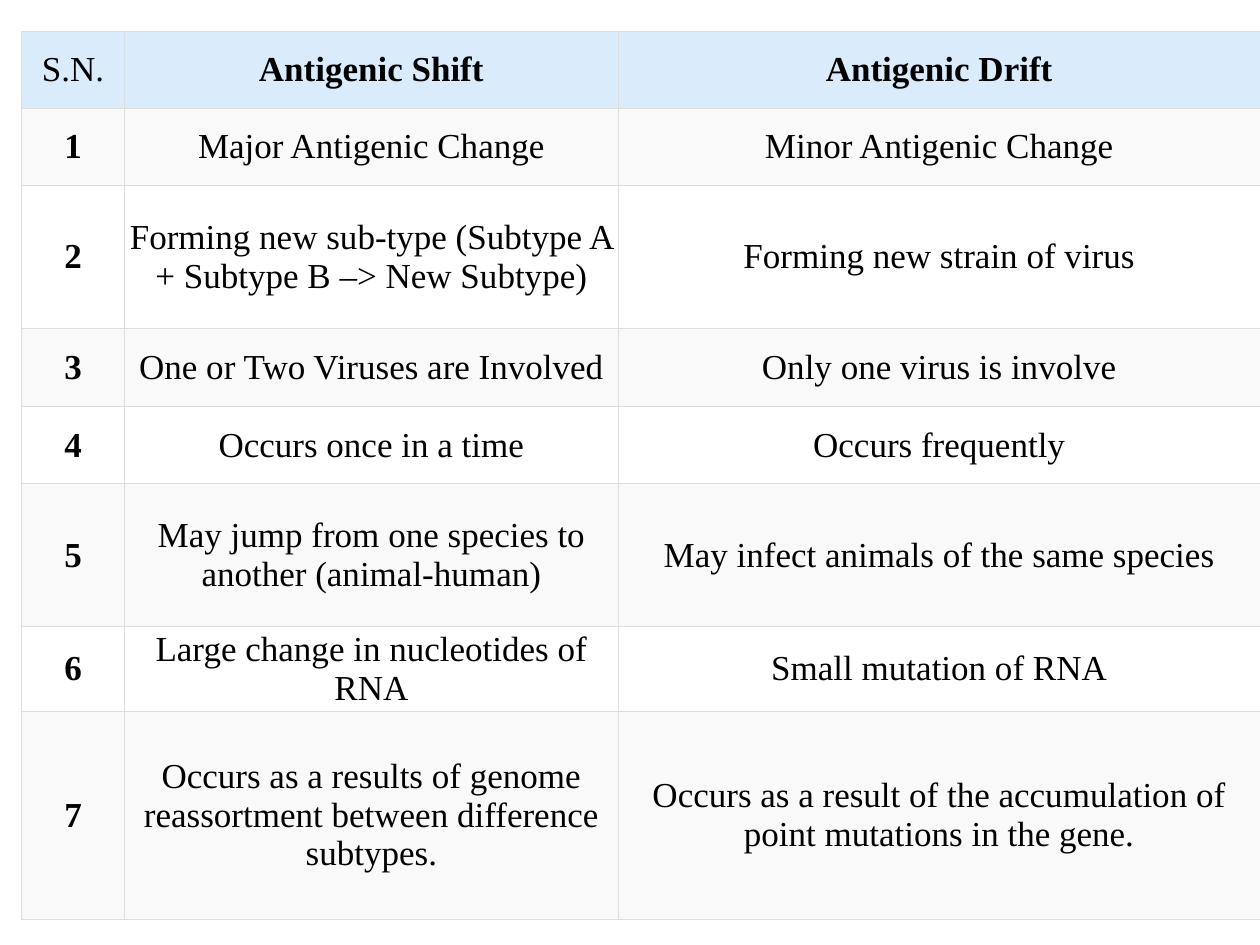
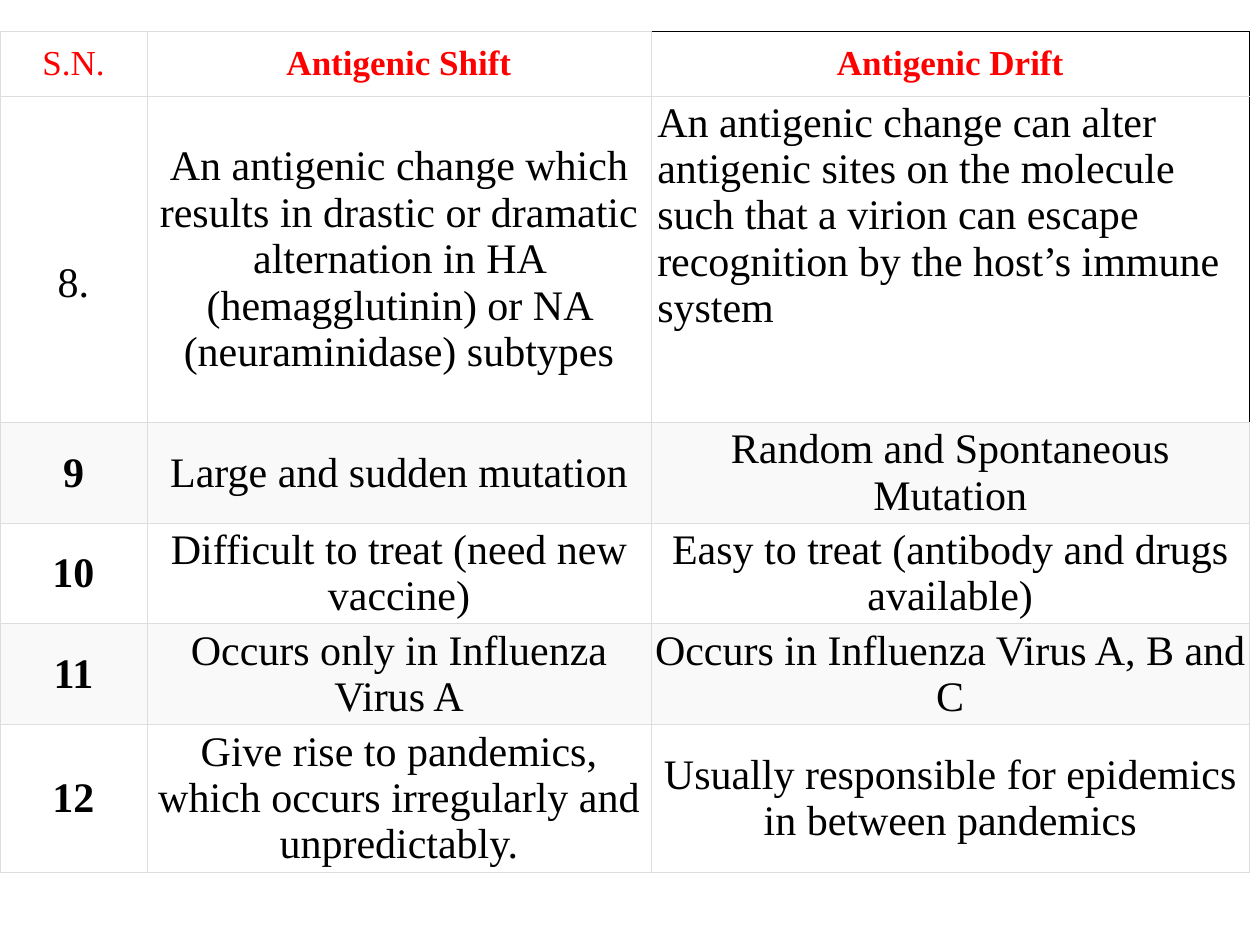
from dataclasses import dataclass

from lxml import etree
from pptx import Presentation
from pptx.dml.color import RGBColor
from pptx.enum import text as t
from pptx.oxml import ns
from pptx.util import Pt


@dataclass(frozen=True)
class Theme:
    font: str = "Times New Roman"
    ink: str = "000000"
    red: str = "FF0000"
    grid: str = "DDDDDD"
    sky: str = "DAECFC"
    white: str = "FFFFFF"
    band: str = "F9F9F9"
    heading_size: int = 20
    rule: float = 0.5
    inset: int = 2


THEME = Theme()
NO_STYLE = "{2D5ABB26-0587-4C30-8999-92F81FD0307C}"
HEADINGS = ("S.N.", "Antigenic Shift", "Antigenic Drift")

# Each row: height in points, number, shift, drift
BASIC_DIFFERENCES = [
    (44, "1", "Major Antigenic Change", "Minor Antigenic Change"),
    (81.5, "2", "Forming new sub-type (Subtype A + Subtype B –> New Subtype)",
     "Forming new strain of virus"),
    (45, "3", "One or Two Viruses are Involved", "Only one virus is involve"),
    (44, "4", "Occurs once in a time", "Occurs frequently"),
    (81.5, "5", "May jump from one species to another (animal-human)",
     "May infect animals of the same species"),
    (45, "6", "Large change in nucleotides of RNA", "Small mutation of RNA"),
    (119, "7", "Occurs as a results of genome reassortment between difference subtypes.",
     "Occurs as a result of the accumulation of point mutations in the gene."),
]
FURTHER_DIFFERENCES = [
    (186.5, "8.", "An antigenic change which results in drastic or dramatic alternation "
     "in HA (hemagglutinin) or NA (neuraminidase) subtypes",
     "An antigenic change can alter antigenic sites on the molecule such that a virion "
     "can escape recognition by the host’s immune system"),
    (57.5, "9", "Large and sudden mutation", "Random and Spontaneous Mutation"),
    (57.5, "10", "Difficult to treat (need new vaccine)",
     "Easy to treat (antibody and drugs available)"),
    (57.5, "11", "Occurs only in Influenza Virus A", "Occurs in Influenza Virus A, B and C"),
    (84.5, "12", "Give rise to pandemics, which occurs irregularly and unpredictably.",
     "Usually responsible for epidemics in between pandemics"),
]


def set_borders(cell, **side_colors):
    """Rule all four sides in the grid colour, except sides (L, R, T, B) given a colour."""
    props = cell._tc.get_or_add_tcPr()
    for old in props.xpath("a:lnL | a:lnR | a:lnT | a:lnB"):
        props.remove(old)
    for position, side in enumerate("LRTB"):
        line = etree.Element(ns.qn(f"a:ln{side}"), w=str(Pt(THEME.rule)))
        fill = etree.SubElement(line, ns.qn("a:solidFill"))
        etree.SubElement(fill, ns.qn("a:srgbClr"), val=side_colors.get(side, THEME.grid))
        props.insert(position, line)


def fill_cell(cell, words, size, color, bold, fill):
    cell.margin_left = cell.margin_right = Pt(THEME.inset)
    cell.margin_top = cell.margin_bottom = Pt(THEME.inset)
    cell.vertical_anchor = t.MSO_ANCHOR.MIDDLE
    set_borders(cell)
    cell.fill.solid()
    cell.fill.fore_color.rgb = RGBColor.from_string(fill)
    paragraph = cell.text_frame.paragraphs[0]
    paragraph.alignment = t.PP_ALIGN.CENTER
    run = paragraph.add_run()
    run.text = words
    run.font.name = THEME.font
    run.font.size = Pt(size)
    run.font.bold = bold
    run.font.color.rgb = RGBColor.from_string(color)


def add_comparison(deck, left, widths, heading_height, differences, body_size,
                   heading_color, heading_fill, bands):
    """Add a slide with one comparison table; bands are the alternating row fills."""
    slide = deck.slides.add_slide(deck.slide_layouts[6])
    heights = [heading_height] + [row[0] for row in differences]
    table = slide.shapes.add_table(len(heights), len(widths), Pt(left), Pt(18),
                                   Pt(sum(widths)), Pt(sum(heights))).table
    table.first_row = table.horz_banding = False
    table._tbl.tblPr.find(ns.qn("a:tableStyleId")).text = NO_STYLE
    for column, width in zip(table.columns, widths):
        column.width = Pt(width)
    for row, height in zip(table.rows, heights):
        row.height = Pt(height)

    for column, heading in enumerate(HEADINGS):
        fill_cell(table.cell(0, column), heading, THEME.heading_size, heading_color,
                  column > 0, heading_fill)
    for row, (_, *entries) in enumerate(differences, 1):
        for column, entry in enumerate(entries):
            is_number = column == 0 and entry.isdigit()
            fill_cell(table.cell(row, column), entry, body_size, THEME.ink,
                      is_number, bands[(row - 1) % 2])
    return table


def set_apart_first_difference(table):
    """Lower the first number, start its drift text top left and edge that column in black."""
    table.cell(1, 0).margin_top = Pt(29.5)
    drift = table.cell(1, 2)
    drift.vertical_anchor = t.MSO_ANCHOR.TOP
    drift.margin_left = drift.margin_right = Pt(3.6)
    drift.text_frame.paragraphs[0].alignment = t.PP_ALIGN.LEFT
    set_borders(table.cell(0, 2), T=THEME.ink, R=THEME.ink)
    set_borders(drift, R=THEME.ink)
    for cell in (table.cell(0, 2), drift):
        cell.fill.background()


def main():
    deck = Presentation()
    deck.slide_width, deck.slide_height = Pt(720), Pt(540)
    add_comparison(deck, 12.25, (59, 282, 367), 44, BASIC_DIFFERENCES, 20,
                   THEME.ink, THEME.sky, (THEME.band, THEME.white))
    further = add_comparison(deck, 0, (84, 288, 342), 37, FURTHER_DIFFERENCES, 24,
                             THEME.red, THEME.white, (THEME.white, THEME.band))
    set_apart_first_difference(further)
    deck.save("out.pptx")


if __name__ == "__main__":
    main()
